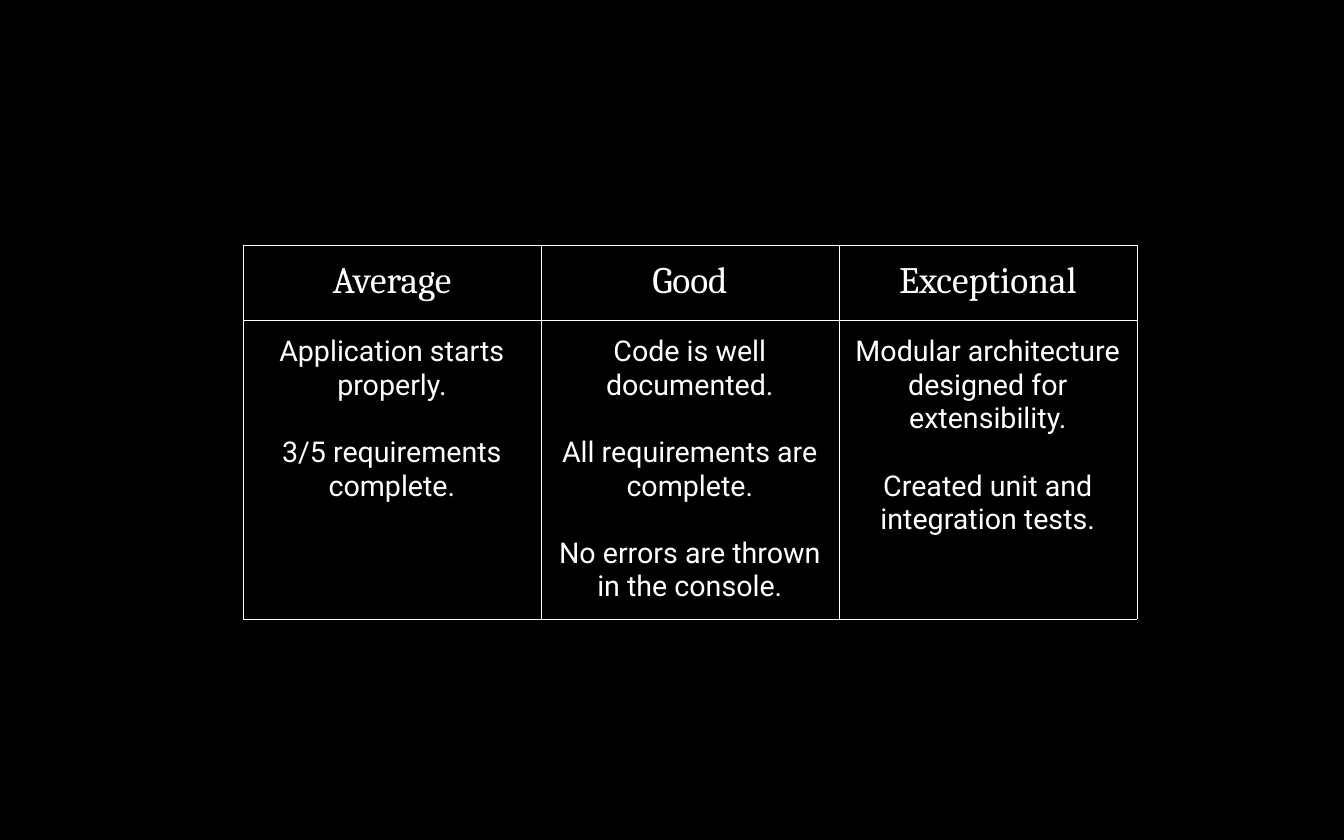
from dataclasses import dataclass

from lxml import etree
from pptx import Presentation
from pptx.dml.color import RGBColor
from pptx.enum.text import MSO_ANCHOR, PP_ALIGN
from pptx.oxml.ns import qn
from pptx.util import Emu, Pt

CENTER = PP_ALIGN.CENTER
TOP = MSO_ANCHOR.TOP

EMU_PER_PX = 914400 / 89.6
COLORS = {"background": "000000", "text": "FFFFFF", "border": "FFFFFF"}
BORDER_WIDTH = Pt(0.75)

PAGE_WIDTH, PAGE_HEIGHT = 1344, 840
TABLE_LEFT, TABLE_TOP = 243, 245
COLUMN_WIDTH = 298
ROW_HEIGHTS = (75, 299)
MARGIN_X, MARGIN_Y = 13, 15


@dataclass(frozen=True)
class TextStyle:
    font: str
    size: int
    gap: int = 0


@dataclass(frozen=True)
class Level:
    title: str
    criteria: tuple[str, ...]


HEADING = TextStyle("Cambria", 30)
BODY = TextStyle("Roboto", 23, gap=27)

LEVELS = (
    Level("Average", (
        "Application starts properly.",
        "3/5 requirements complete.",
    )),
    Level("Good", (
        "Code is well documented.",
        "All requirements are complete.",
        "No errors are thrown in the console.",
    )),
    Level("Exceptional", (
        "Modular architecture designed for extensibility.",
        "Created unit and integration tests.",
    )),
)


def px(length: int) -> Emu:
    return Emu(round(length * EMU_PER_PX))


def color(name: str) -> RGBColor:
    return RGBColor.from_string(COLORS[name])


def add_borders(cell) -> None:
    properties = cell._tc.get_or_add_tcPr()
    for index, side in enumerate(("lnL", "lnR", "lnT", "lnB")):
        line = etree.Element(qn(f"a:{side}"), w=str(BORDER_WIDTH))
        fill = etree.SubElement(line, qn("a:solidFill"))
        etree.SubElement(fill, qn("a:srgbClr"), val=COLORS["border"])
        properties.insert(index, line)


def fill_cell(cell, texts: tuple[str, ...], style: TextStyle) -> None:
    cell.fill.background()
    add_borders(cell)
    cell.margin_left = cell.margin_right = px(MARGIN_X)
    cell.margin_top = cell.margin_bottom = px(MARGIN_Y)
    cell.vertical_anchor = TOP
    frame = cell.text_frame
    for index, text in enumerate(texts):
        para = frame.add_paragraph() if index else frame.paragraphs[0]
        para.text = text
        para.alignment = CENTER
        if index:
            para.space_before = Pt(style.gap)
        para.font.name = style.font
        para.font.size = Pt(style.size)
        para.font.color.rgb = color("text")


def add_rubric(page, levels: tuple[Level, ...]) -> None:
    table = page.shapes.add_table(
        len(ROW_HEIGHTS), len(levels), px(TABLE_LEFT), px(TABLE_TOP),
        px(COLUMN_WIDTH * len(levels)), px(sum(ROW_HEIGHTS)),
    ).table
    table.first_row = table.horz_banding = False
    for row, height in zip(table.rows, ROW_HEIGHTS):
        row.height = px(height)
    for index, level in enumerate(levels):
        table.columns[index].width = px(COLUMN_WIDTH)
        fill_cell(table.cell(0, index), (level.title,), HEADING)
        fill_cell(table.cell(1, index), level.criteria, BODY)


def main() -> None:
    deck = Presentation()
    deck.slide_width, deck.slide_height = px(PAGE_WIDTH), px(PAGE_HEIGHT)
    page = deck.slides.add_slide(deck.slide_layouts[6])

    # Background
    page.background.fill.solid()
    page.background.fill.fore_color.rgb = color("background")

    # Grading table
    add_rubric(page, LEVELS)

    deck.save("out.pptx")


if __name__ == "__main__":
    main()
